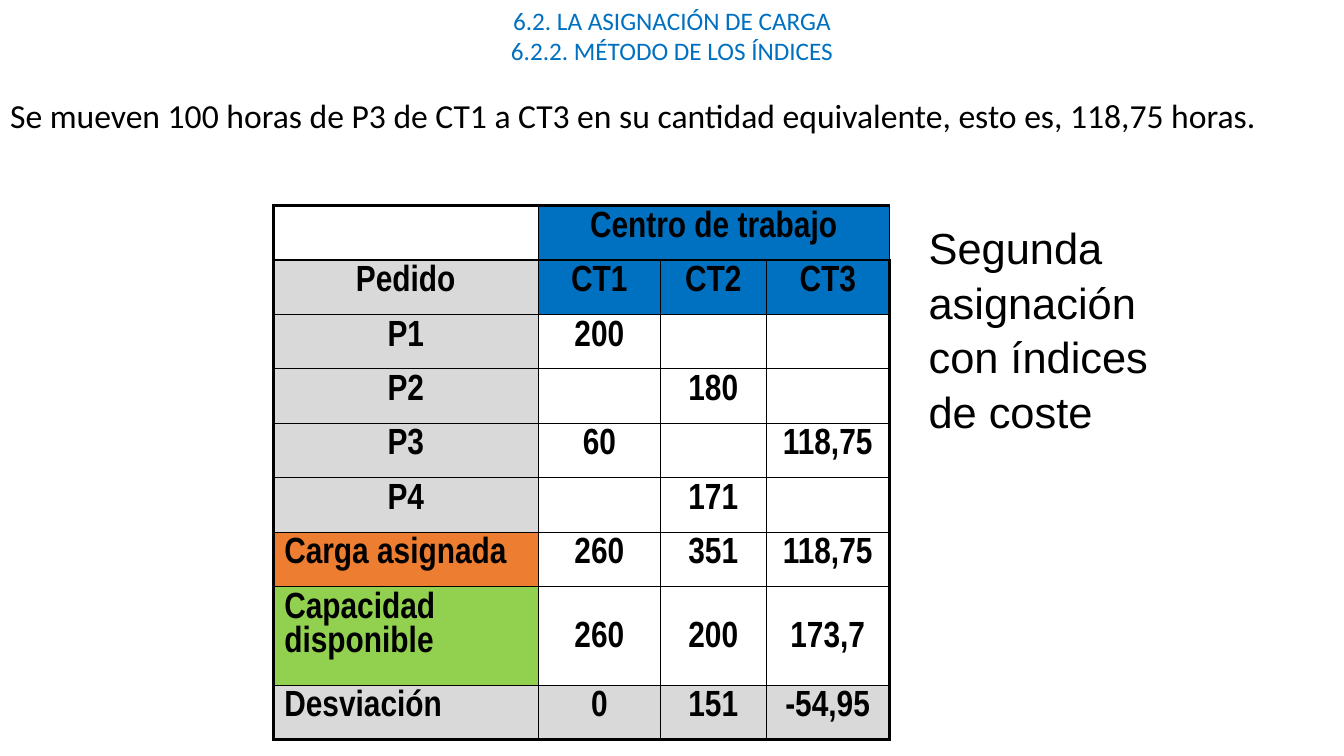
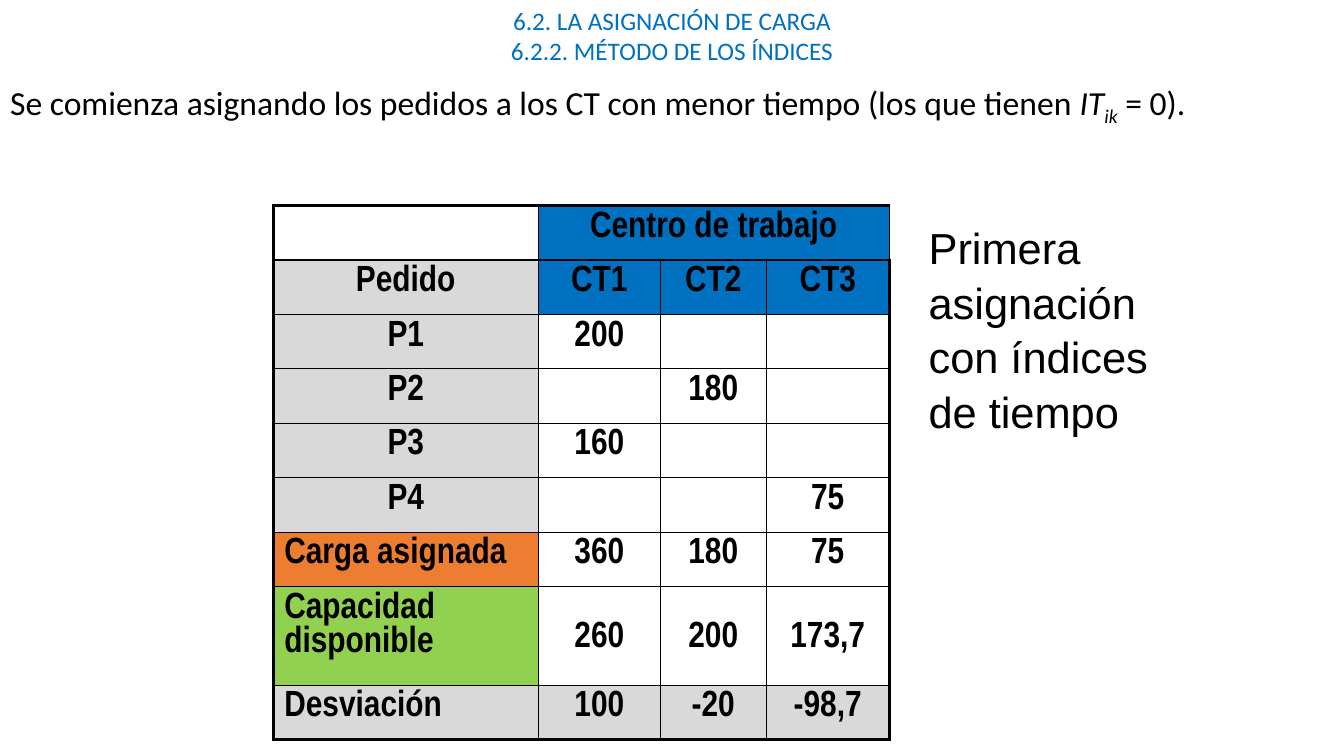
from lxml import etree
from pptx import Presentation
from pptx.dml.color import RGBColor
from pptx.enum.text import MSO_ANCHOR, MSO_AUTO_SIZE, PP_ALIGN
from pptx.oxml.ns import qn
from pptx.util import Inches, Pt

LEFT, CENTER, JUSTIFY = PP_ALIGN.LEFT, PP_ALIGN.CENTER, PP_ALIGN.JUSTIFY
TOP, MIDDLE = MSO_ANCHOR.TOP, MSO_ANCHOR.MIDDLE
FIXED = MSO_AUTO_SIZE.NONE

BLACK = RGBColor(0x00, 0x00, 0x00)
WHITE = RGBColor(0xFF, 0xFF, 0xFF)
BLUE = RGBColor(0x00, 0x70, 0xC0)
GRAY = RGBColor(0xD9, 0xD9, 0xD9)
ORANGE = RGBColor(0xED, 0x7D, 0x31)
GREEN = RGBColor(0x92, 0xD0, 0x50)

TITLE = ["6.2. LA ASIGNACIÓN DE CARGA", "6.2.2. MÉTODO DE LOS ÍNDICES"]
COLUMN_WIDTHS = [2.63, 1.21, 1.05, 1.22]
ROW_HEIGHTS = [0.54] * 7 + [0.98, 0.54]
HEADER_ROWS = [["", "Centro de trabajo", "", ""], ["Pedido", "CT1", "CT2", "CT3"]]
ROW_LABELS = ["P1", "P2", "P3", "P4", "Carga asignada", "Capacidad disponible", "Desviación"]
LABEL_FILLS = [WHITE] + [GRAY] * 5 + [ORANGE, GREEN, GRAY]
FIRST_SUMMARY_ROW, CAPACITY_ROW, LAST_ROW, LAST_COLUMN = 6, 7, 8, 3

# Each statement is a list of (text, style) runs
SLIDES = [
    {
        "statement": [("Se mueven 100 horas de P3 de CT1 a CT3 en su cantidad "
                       "equivalente, esto es, 118,75 horas.", "")],
        "statement_top": 0.89,
        "caption": "Segunda asignación con índices de coste",
        "values": [
            ["200", "", ""],
            ["", "180", ""],
            ["60", "", "118,75"],
            ["", "171", ""],
            ["260", "351", "118,75"],
            ["260", "200", "173,7"],
            ["0", "151", "-54,95"],
        ],
    },
    {
        "statement": [("Se comienza asignando los pedidos a los CT con menor tiempo "
                       "(los que tienen ", ""), ("IT", "italic"),
                      ("ik", "italic subscript"), (" = 0).", "")],
        "statement_top": 0.76,
        "caption": "Primera asignación con índices de tiempo",
        "values": [
            ["200", "", ""],
            ["", "180", ""],
            ["160", "", ""],
            ["", "", "75"],
            ["360", "180", "75"],
            ["260", "200", "173,7"],
            ["100", "-20", "-98,7"],
        ],
    },
]


def write_text(text_frame, paragraphs, *, font, size, color=BLACK, bold=False,
               align=LEFT, line_spacing=1.0):
    """Fill a text frame; a paragraph is a string or a list of (text, style) runs."""
    text_frame.word_wrap = True
    for index, content in enumerate(paragraphs):
        paragraph = text_frame.paragraphs[0] if index == 0 else text_frame.add_paragraph()
        paragraph.alignment = align
        paragraph.line_spacing = line_spacing
        paragraph.space_before = Pt(0)
        properties = paragraph._p.get_or_add_pPr()
        properties.set("marL", "0")
        properties.set("indent", "0")
        etree.SubElement(properties, qn("a:buNone"))
        for text, style in [(content, "")] if isinstance(content, str) else content:
            run = paragraph.add_run()
            run.text = text
            run.font.name = font
            run.font.size = Pt(size)
            run.font.bold = bold
            run.font.italic = "italic" in style
            run.font.color.rgb = color
            if "subscript" in style:
                run._r.get_or_add_rPr().set("baseline", "-25000")


def set_borders(cell, widths):
    """Draw black borders; widths maps L, R, T and B, in that order, to points."""
    properties = cell._tc.get_or_add_tcPr()
    for side, width in widths.items():
        line = etree.SubElement(properties, qn(f"a:ln{side}"), w=str(Pt(width)))
        fill = etree.SubElement(line, qn("a:solidFill"))
        etree.SubElement(fill, qn("a:srgbClr"), val=str(BLACK))


presentation = Presentation()
presentation.slide_width = Inches(13.33)
presentation.slide_height = Inches(7.5)
layout = presentation.slide_layouts.get_by_name("Title and Content")

for content in SLIDES:
    slide = presentation.slides.add_slide(layout)
    title, statement = slide.placeholders
    for placeholder, top, height in [(title, 0, 0.71),
                                     (statement, content["statement_top"], 0.5)]:
        placeholder.left, placeholder.top = Inches(0), Inches(top)
        placeholder.width, placeholder.height = presentation.slide_width, Inches(height)
        placeholder.text_frame.auto_size = FIXED
        placeholder.text_frame.vertical_anchor = TOP
    write_text(title.text_frame, TITLE, font="Calibri", size=18, color=BLUE, align=CENTER)
    write_text(statement.text_frame, [content["statement"]], font="Calibri", size=24,
               align=JUSTIFY)

    rows = HEADER_ROWS + [[label] + values
                          for label, values in zip(ROW_LABELS, content["values"])]
    table = slide.shapes.add_table(
        len(rows), len(COLUMN_WIDTHS), Inches(2.71), Inches(2.04),
        Inches(sum(COLUMN_WIDTHS)), Inches(sum(ROW_HEIGHTS))).table
    table.first_row = table.horz_banding = False
    for column, width in zip(table.columns, COLUMN_WIDTHS):
        column.width = Inches(width)
    for row, height in zip(table.rows, ROW_HEIGHTS):
        row.height = Inches(height)
    table.cell(0, 1).merge(table.cell(0, LAST_COLUMN))

    for row_index, texts in enumerate(rows):
        for column_index, text in enumerate(texts):
            cell = table.cell(row_index, column_index)
            is_label = column_index == 0
            is_value = not is_label and row_index >= len(HEADER_ROWS)
            set_borders(cell, {
                "L": 2.25 if is_label else 1,
                "R": 2.25 if column_index == LAST_COLUMN else 1,
                "T": 2.25 if row_index == 0 else 1,
                "B": 2.25 if row_index == LAST_ROW else 1,
            })
            cell.fill.solid()
            if is_label:
                cell.fill.fore_color.rgb = LABEL_FILLS[row_index]
            elif is_value:
                cell.fill.fore_color.rgb = GRAY if row_index == LAST_ROW else WHITE
            else:
                cell.fill.fore_color.rgb = BLUE
            cell.margin_left = cell.margin_right = Inches(0.07 if is_value else 0.11)
            cell.margin_top = cell.margin_bottom = Inches(0 if is_value else 0.05)
            if is_value and row_index == CAPACITY_ROW:
                cell.vertical_anchor = MIDDLE
            if text:
                write_text(cell.text_frame, [text], font="Arial Narrow", size=26, bold=True,
                           align=LEFT if is_label and row_index >= FIRST_SUMMARY_ROW else CENTER,
                           line_spacing=1.15 if is_value else 1.0)

    caption = slide.shapes.add_textbox(Inches(9.1), Inches(2.12), Inches(2.62), Inches(2.2))
    caption.text_frame.margin_left = caption.text_frame.margin_right = Inches(0.11)
    write_text(caption.text_frame, [content["caption"]], font="Arial", size=31,
               line_spacing=1.05)

presentation.save("out.pptx")
